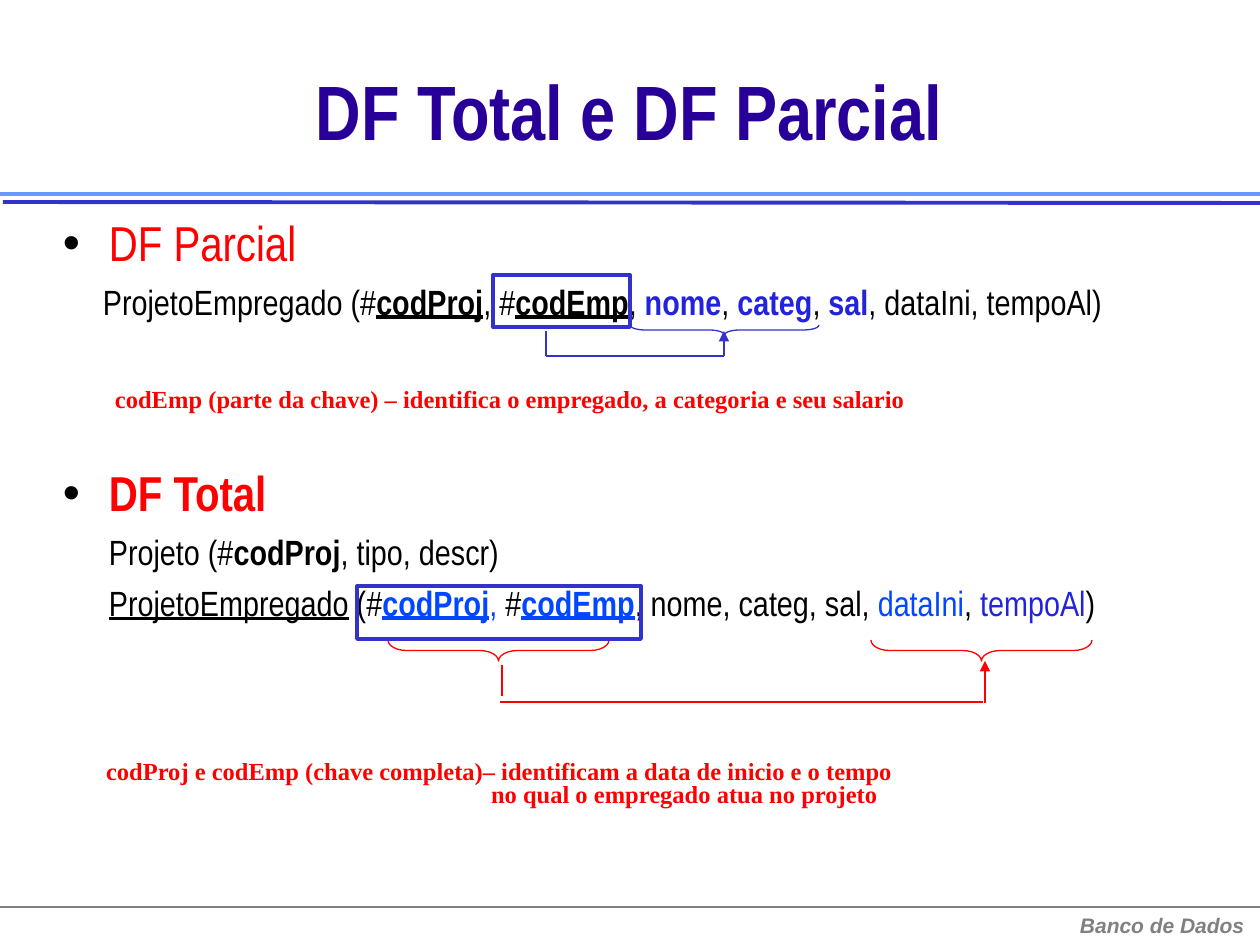
from lxml import etree
from pptx import Presentation
from pptx.dml.color import RGBColor
from pptx.enum.shapes import MSO_CONNECTOR, MSO_SHAPE
from pptx.enum.text import MSO_ANCHOR, PP_ALIGN
from pptx.oxml.ns import qn
from pptx.util import Emu, Pt

LINE, RECT, BRACE = MSO_CONNECTOR.STRAIGHT, MSO_SHAPE.RECTANGLE, MSO_SHAPE.LEFT_BRACE
MIDDLE, CENTER, LEFT = MSO_ANCHOR.MIDDLE, PP_ALIGN.CENTER, PP_ALIGN.LEFT
COLORS = {"black": "000000", "grey": "808080", "title": "280099", "red": "FF0000",
          "indigo": "3333CC", "sky": "6699FF", "violet": "2323DC", "blue": "0047FF"}
NARROW, SERIF, SANS = "Arial Narrow", "Times New Roman", "Arial"

# Runs are (text, colour, style), with b, i and u as style letters
PARTIAL = [("ProjetoEmpregado (#", "black", ""), ("codProj", "black", "bu"),
           (", #", "black", ""), ("codEmp", "black", "bu"), (", ", "black", ""),
           ("nome", "violet", "b"), (", ", "black", ""), ("categ", "violet", "b"),
           (", ", "black", ""), ("sal", "violet", "b"),
           (", dataIni, tempoAl)", "black", "")]
PROJECT = [("Projeto (#", "black", ""), ("codProj", "black", "b"),
           (", tipo, descr)", "black", "")]
TOTAL = [("ProjetoEmpregado", "black", "u"), (" (#", "black", ""),
         ("codProj", "blue", "bu"), (", ", "blue", ""), ("#", "black", ""),
         ("codEmp", "blue", "bu"), (", nome, categ, sal, ", "black", ""),
         ("dataIni", "blue", ""), (", ", "black", ""), ("tempoAl", "violet", ""),
         (")", "black", "")]

# Paragraphs: runs, size, left margin in px, space before in pt, bullet
BODY = [([("DF Parcial", "red", "")], 28, 46, 0, True),
        (PARTIAL, 20, 40, 8, False),
        ([("DF Total", "red", "b")], 28, 46, 84, True),
        (PROJECT, 20, 46, 8, False),
        (TOTAL, 20, 46, 8, False)]
TITLE = [([("DF Total e DF Parcial", "title", "b")], 44, 0, 0, False)]
FOOTER = [([("Banco de Dados", "grey", "bi")], 12, 0, 0, False)]
PARTIAL_NOTE = [([("codEmp (parte da chave) – identifica o empregado, "
                   "a categoria e seu salario", "red", "b")], 14, 0, 0, False)]
TOTAL_NOTE = [([("codProj e codEmp (chave completa)– identificam a data de inicio "
                 "e o tempo", "red", "b")], 14, 0, 0, False),
              ([("no qual o empregado atua no projeto", "red", "b")], 14, 385, 0, False)]

# Text boxes: box in px, paragraphs, font, line spacing, inset (x, y), align, anchor
TEXTS = [((1067, 907, 195, 38), FOOTER, SANS, 1.0, (13, 6), LEFT, None),
         ((63, 18, 1133, 197), TITLE, NARROW, 0.88, (0, 0), CENTER, MIDDLE),
         ((63, 220, 1133, 611), BODY, NARROW, 0.88, (0, 0), LEFT, None),
         ((102, 384, 840, 37), PARTIAL_NOTE, SERIF, 0.78, (13, 6), LEFT, None),
         ((93, 756, 840, 59), TOTAL_NOTE, SERIF, 0.78, (13, 6), LEFT, None)]

# Lines: x1, y1, x2, y2, colour, weight, arrowhead
RULES = [(0, 907, 1260, 907, "grey", 0.75, False),
         (0, 194, 1260, 194, "sky", 2.25, False),
         (3, 202, 1260, 203, "indigo", 2.25, False)]
ARROWS = [(546, 331, 546, 356, "indigo", 0.75, False),
          (546, 356, 724, 356, "indigo", 0.75, False),
          (724, 356, 724, 331, "indigo", 0.75, True),
          (502, 665, 502, 696, "red", 0.75, False),
          (500, 702, 983, 702, "red", 0.75, False),
          (985, 703, 985, 661, "red", 0.75, True)]
# Braces: visible box, colour, curve
BRACES = [((630, 325, 189, 10), "indigo", 1.5),
          ((388, 640, 221, 21), "red", 0.9),
          ((871, 640, 221, 21), "red", 0.9)]
KEY_FRAMES = [(493, 275, 137, 52), (357, 586, 284, 53)]


def px(n):
    return Emu(round(n * 914400 / 126))


def color(name):
    return RGBColor.from_string(COLORS[name])


def add_text(s, box, paragraphs, font, spacing, inset, align, anchor):
    tf = s.shapes.add_textbox(*map(px, box)).text_frame
    tf.word_wrap = True
    tf.margin_left = tf.margin_right = px(inset[0])
    tf.margin_top = tf.margin_bottom = px(inset[1])
    if anchor is not None:
        tf.vertical_anchor = anchor
    for i, (runs, size, margin, before, bullet) in enumerate(paragraphs):
        p = tf.add_paragraph() if i else tf.paragraphs[0]
        p.alignment, p.line_spacing, p.space_before = align, spacing, Pt(before)
        pPr = p._p.get_or_add_pPr()
        pPr.set("marL", str(px(margin)))
        pPr.set("indent", str(-px(margin) if bullet else 0))
        if bullet:
            clr = etree.SubElement(pPr, qn("a:buClr"))
            etree.SubElement(clr, qn("a:srgbClr"), val=COLORS["black"])
            etree.SubElement(pPr, qn("a:buFont"), typeface=SANS)
            etree.SubElement(pPr, qn("a:buChar"), char="•")
        for text, shade, style in runs:
            r = p.add_run()
            r.text = text
            r.font.name, r.font.size = font, Pt(size)
            r.font.color.rgb = color(shade)
            r.font.bold, r.font.italic = "b" in style, "i" in style
            r.font.underline = "u" in style


def add_line(s, x1, y1, x2, y2, shade, weight, arrow):
    c = s.shapes.add_connector(LINE, px(x1), px(y1), px(x2), px(y2))
    c.line.color.rgb, c.line.width = color(shade), Pt(weight)
    etree.SubElement(c._element.spPr, qn("a:effectLst"))
    if arrow:
        etree.SubElement(c.line._get_or_add_ln(), qn("a:tailEnd"), type="triangle")


def add_outline(s, kind, box, shade, weight):
    sp = s.shapes.add_shape(kind, *map(px, box))
    sp.shadow.inherit = False
    sp.fill.background()
    sp.line.color.rgb, sp.line.width = color(shade), Pt(weight)
    return sp


def add_brace(s, box, shade, curve):
    # An upright brace turned about its centre, so its tip points down
    x, y, w, h = box
    upright = (x + (w - h) / 2, y + (h - w) / 2, h, w)
    sp = add_outline(s, BRACE, upright, shade, 0.75)
    sp.adjustments[0] = curve
    sp.rotation = 270


prs = Presentation()
prs.slide_width, prs.slide_height = px(1260), px(945)
s = prs.slides.add_slide(prs.slide_layouts[6])
for rule in RULES:
    add_line(s, *rule)
for text in TEXTS:
    add_text(s, *text)
for brace in BRACES:
    add_brace(s, *brace)
for arrow in ARROWS:
    add_line(s, *arrow)
for frame in KEY_FRAMES:
    add_outline(s, RECT, frame, "indigo", 2.25)
prs.save("out.pptx")
